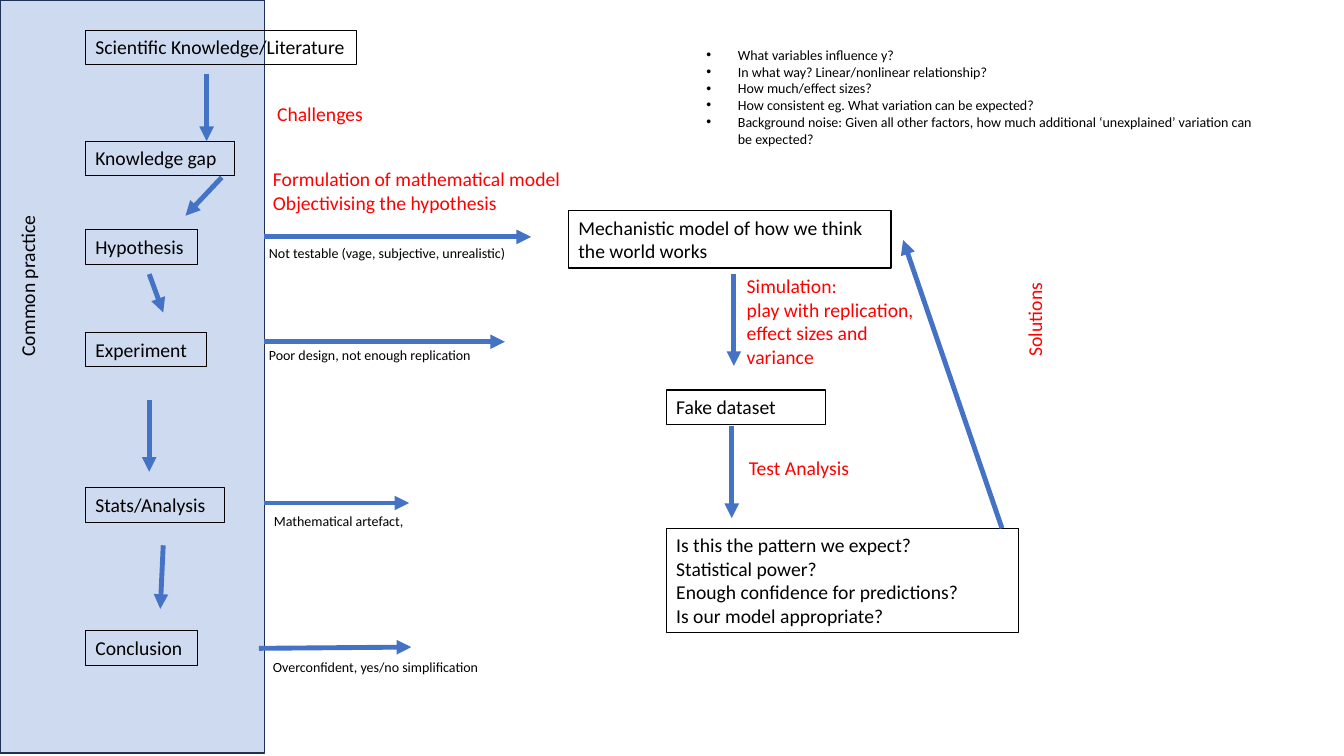
from lxml.etree import SubElement
from pptx import Presentation
from pptx.dml.color import RGBColor
from pptx.enum.shapes import MSO_CONNECTOR as Connector, MSO_SHAPE as Shape
from pptx.enum.text import MSO_ANCHOR as Anchor, PP_ALIGN as Align
from pptx.oxml.ns import qn
from pptx.util import Pt

COLORS = {
    "panel": "B4C7E7",
    "panel_edge": "1E3256",
    "arrow": "4472C4",
    "text": "000000",
    "highlight": "FF0000",
}
FONT = "Calibri"
LINE_HEIGHT = 24.5
NOTE_HEIGHT = 19.4


def color(name):
    return RGBColor.from_string(COLORS[name])


def write(shape, text, size, color_name):
    frame = shape.text_frame
    frame.word_wrap = True
    frame.vertical_anchor = Anchor.TOP
    frame.text = text
    for paragraph in frame.paragraphs:
        paragraph.alignment = Align.LEFT
        for run in paragraph.runs:
            run.font.name = FONT
            run.font.size = Pt(size)
            run.font.color.rgb = color(color_name)


def add_label(slide, text, left, top, width, height=LINE_HEIGHT,
              size=14, color_name="highlight", rotation=0):
    label = slide.shapes.add_textbox(Pt(left), Pt(top), Pt(width), Pt(height))
    label.rotation = rotation
    write(label, text, size, color_name)
    return label


def add_rectangle(slide, left, top, width, height, edge, edge_width):
    rectangle = slide.shapes.add_shape(
        Shape.RECTANGLE, Pt(left), Pt(top), Pt(width), Pt(height))
    rectangle.shadow.inherit = False
    rectangle.fill.background()
    rectangle.line.color.rgb = color(edge)
    rectangle.line.width = Pt(edge_width)
    return rectangle


def add_step(slide, text, left, top, width, height=LINE_HEIGHT):
    step = add_rectangle(slide, left, top, width, height, "text", 0.75)
    write(step, text, 14, "text")


def add_arrow(slide, x1, y1, x2, y2):
    arrow = slide.shapes.add_connector(
        Connector.STRAIGHT, Pt(x1), Pt(y1), Pt(x2), Pt(y2))
    arrow.line.color.rgb = color("arrow")
    arrow.line.width = Pt(3.5)
    properties = arrow._element.spPr
    SubElement(properties.find(qn("a:ln")), qn("a:tailEnd"), type="triangle")
    SubElement(properties, qn("a:effectLst"))


def add_common_practice(slide, left, top, width, height):
    panel = add_rectangle(slide, left, top, width, height, "panel_edge", 1)
    panel.fill.solid()
    panel.fill.fore_color.rgb = color("panel")
    fill_color = panel._element.spPr.find(qn("a:solidFill"))[0]
    SubElement(fill_color, qn("a:alpha"), val="65000")

    steps = [
        ("Scientific Knowledge/Literature", 21.6, 193.7),
        ("Knowledge gap", 100.8, 106.6),
        ("Hypothesis", 164.2, 80),
        ("Experiment", 237.6, 86.4),
        ("Stats/Analysis", 348.5, 99.4),
        ("Conclusion", 450.7, 80),
    ]
    for text, y, step_width in steps:
        add_step(slide, text, left + 61, top + y, step_width)

    arrows = [
        (147.6, 52.6, 147.6, 100.8),
        (158.4, 126.7, 132.5, 154.1),
        (106.6, 195.8, 116.6, 223.2),
        (106.6, 285.8, 106.6, 337),
        (116.6, 389.5, 114.5, 434.9),
    ]
    for x1, y1, x2, y2 in arrows:
        add_arrow(slide, left + x1, top + y1, left + x2, top + y2)
    add_label(slide, "Common practice", left - 63.4, top + 166.3, 166.3,
              color_name="text", rotation=270)


def add_challenges(slide, left, top):
    add_label(slide, "Challenges", left + 5.8, top, 166.3)
    add_label(slide, "Formulation of mathematical model\nObjectivising the hypothesis",
              left + 2.9, top + 46.8, 230.4, 41)

    arrows = [
        (3.6, 100.1, 194.4, 100.1),
        (3.6, 175, 175.7, 175),
        (3.6, 290.2, 107.3, 290.2),
        (0, 394, 108.8, 393.1),
    ]
    for x1, y1, x2, y2 in arrows:
        add_arrow(slide, left + x1, top + y1, left + x2, top + y2)

    notes = [
        ("Not testable (vage, subjective, unrealistic)", 0, 102.3, 190),
        ("Poor design, not enough replication", 0, 175, 185),
        ("Mathematical artefact,", 3.6, 293.1, 148),
        ("Overconfident, yes/no simplification", 2.9, 397.5, 182),
    ]
    for text, x, y, width in notes:
        add_label(slide, text, left + x, top + y, width, NOTE_HEIGHT, 10, "text")


def add_solutions(slide, left, top):
    steps = [
        ("Mechanistic model of how we think the world works", 0, 0, 230.4, 41),
        ("Fake dataset", 69.8, 128.1, 113.8, LINE_HEIGHT),
        ("Is this the pattern we expect?\nStatistical power?\n"
         "Enough confidence for predictions?\nIs our model appropriate?",
         69.8, 226.8, 251.3, 74.9),
    ]
    for text, x, y, width, height in steps:
        add_step(slide, text, left + x, top + y, width, height)

    arrows = [
        (118.1, 45.3, 118.1, 110.9),
        (116.6, 154.1, 116.6, 219.6),
        (309.6, 226.8, 239, 20.9),
    ]
    for x1, y1, x2, y2 in arrows:
        add_arrow(slide, left + x1, top + y1, left + x2, top + y2)

    add_label(slide, "Simulation:\nplay with replication, effect sizes and variance",
              left + 120.2, top + 41.7, 146, 74.9)
    add_label(slide, "Test Analysis", left + 121.7, top + 171.3, 95)
    add_label(slide, "Solutions", left + 249.8, top + 15.8, 166.3, rotation=270)


def add_questions(slide, left, top, width, height):
    questions = [
        "What variables influence y?",
        "In what way? Linear/nonlinear relationship?",
        "How much/effect sizes?",
        "How consistent eg. What variation can be expected?",
        "Background noise: Given all other factors, how much additional "
        "‘unexplained’ variation can be expected?",
    ]
    label = add_label(slide, "\n".join(questions), left, top, width, height, 10, "text")
    for paragraph in label.text_frame.paragraphs:
        properties = paragraph._p.get_or_add_pPr()
        properties.set("marL", str(Pt(22.5)))
        properties.set("indent", str(Pt(-22.5)))
        SubElement(properties, qn("a:buFont"), typeface="Arial")
        SubElement(properties, qn("a:buChar"), char="•")


def main():
    presentation = Presentation()
    presentation.slide_width = Pt(960)
    presentation.slide_height = Pt(540)
    slide = presentation.slides.add_slide(presentation.slide_layouts[6])
    add_common_practice(slide, 0, 0, 189, 538)
    add_challenges(slide, 185, 69.1)
    add_solutions(slide, 406.1, 150.5)
    add_questions(slide, 497.5, 29.5, 414, 92.2)
    presentation.save("out.pptx")


if __name__ == "__main__":
    main()
